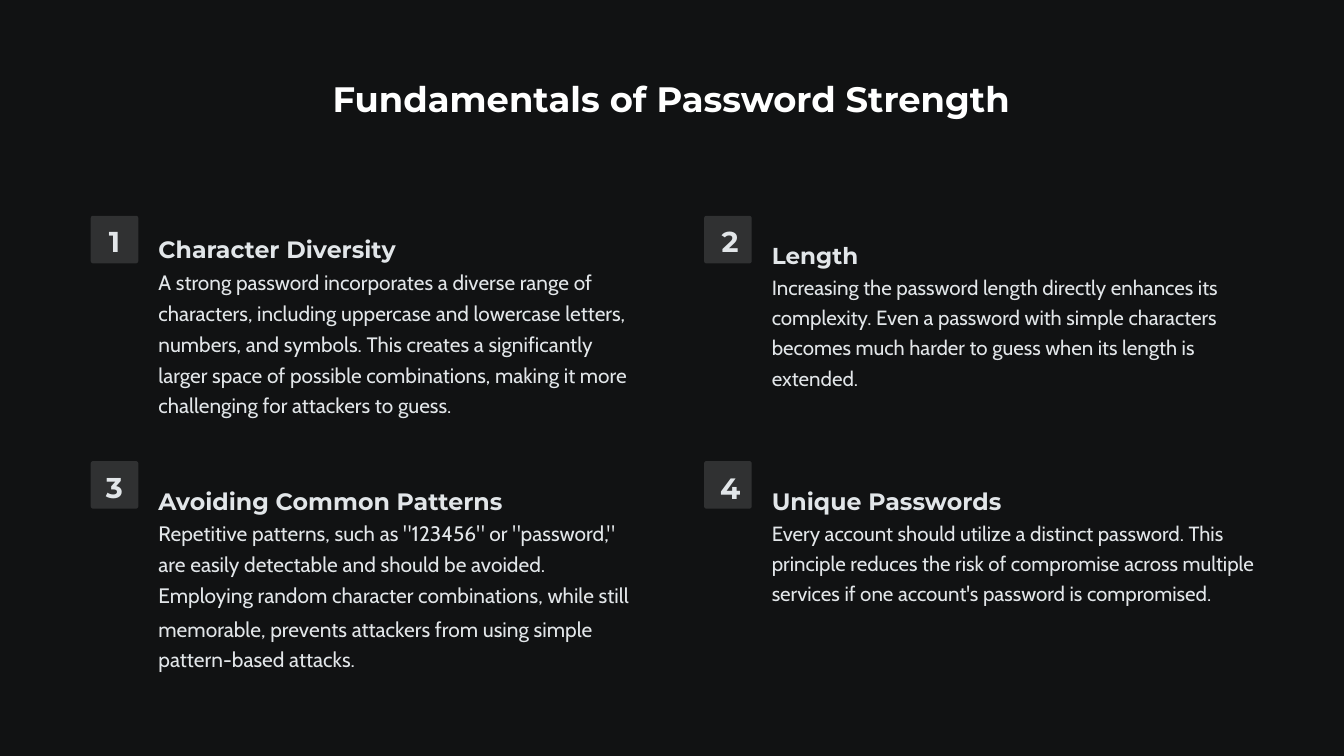
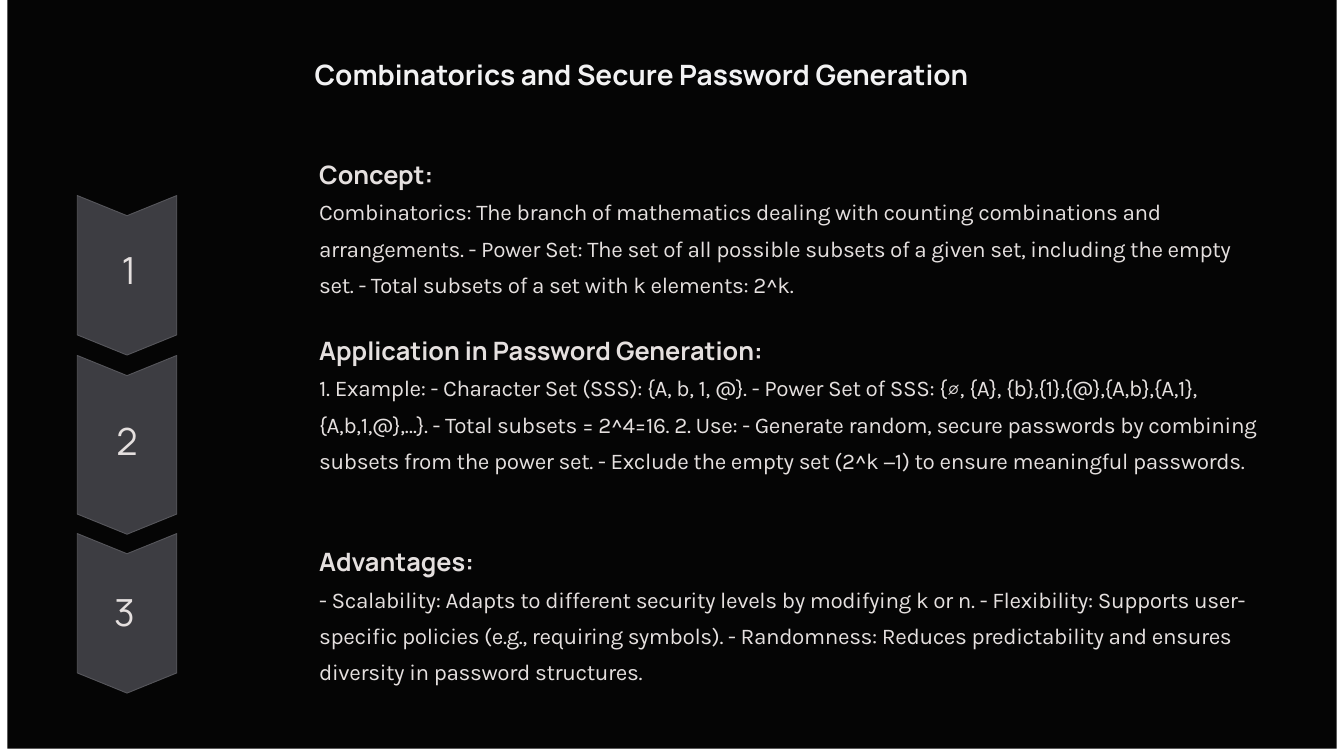
from dataclasses import dataclass, replace

from pptx import Presentation
from pptx.dml.color import RGBColor
from pptx.enum.shapes import MSO_SHAPE as Preset
from pptx.enum.text import MSO_AUTO_SIZE as AutoSize
from pptx.util import Pt


@dataclass(frozen=True)
class TextStyle:
    font: str
    size: float
    color: str
    leading: float = 1.4  # line height as a multiple of the size
    bold: bool = True
    tracking: float = 0


@dataclass(frozen=True)
class Theme:
    night: str = "111213"
    badge: str = "303132"
    page: str = "FFFFFF"
    panel: str = "050505"
    chevron: str = "3D3D42"
    chevron_edge: str = "56565B"

    basics_title: TextStyle = TextStyle("Montserrat", 37.8, "FFFFFF")
    basics_number: TextStyle = TextStyle("Montserrat", 30.8, "E2E6E9")
    basics_heading: TextStyle = TextStyle("Montserrat", 25.4, "E2E6E9")
    basics_body: TextStyle = TextStyle("Cabin", 22, "E2E6E9", 1.484, False)

    sets_title: TextStyle = TextStyle("Manrope", 30, "F2F2F3", 1.243)
    sets_number: TextStyle = TextStyle("Manrope", 40, "E5E0DF", bold=False)
    sets_heading: TextStyle = TextStyle("Manrope", 27.1, "E5E0DF")
    sets_body: TextStyle = TextStyle("Karla", 24.1, "E5E0DF", 1.61, False, -0.4)


THEME = Theme()
SLIDE_WIDTH, SLIDE_HEIGHT = 1440, 810

BADGE_SIZE = 51
BADGE_COLUMNS = (97.2, 754.4)
BADGE_ROWS = (231.2, 494)
BADGE_TO_TEXT = 72.5

# number width, number size, text top, text width, text height,
# heading, heading size, body size, [(body paragraph, leading)]
FUNDAMENTALS = [
    (12.2, 30.8, 247, 517, 204.5, "Character Diversity", 25.3, 22.3, [
        ("A strong password incorporates a diverse range of characters, including "
         "uppercase and lowercase letters, numbers, and symbols. This creates a "
         "significantly larger space of possible combinations, making it more "
         "challenging for attackers to guess.", 1.484)]),
    (13.7, 30.8, 253.4, 506, 160.5, "Length", 24.7, 22, [
        ("Increasing the password length directly enhances its complexity. Even a "
         "password with simple characters becomes much harder to guess when its "
         "length is extended.", 1.484)]),
    (18.7, 30.7, 516.2, 517, 199.5, "Avoiding Common Patterns", 25.4, 22.4, [
        ('Repetitive patterns, such as "123456" or "password," are easily detectable '
         "and should be avoided. Employing random character combinations, while still",
         1.484),
        ("memorable, prevents attackers from using simple", 1.616),
        ("pattern-based attacks.", 1.415)]),
    (16.6, 31.5, 516.2, 517, 162, "Unique Passwords", 25.4, 22, [
        ("Every account should utilize a distinct password. This principle reduces "
         "the risk of compromise across multiple services if one account's password "
         "is compromised.", 1.477)]),
]

CHEVRON_LEFT, CHEVRON_WIDTH, CHEVRON_NOTCH = 82.8, 106.6, 21.6
STEP_TEXT_LEFT, STEP_TEXT_WIDTH = 342, 1017.4

# chevron top and height, number left, top and width, text top and height, heading, body
STEPS = [
    (209.5, 170.9, 130.3, 257, 11.5, 164.9, 149, "Concept:",
     "Combinatorics: The branch of mathematics dealing with counting combinations and "
     "arrangements. - Power Set: The set of all possible subsets of a given set, "
     "including the empty set. - Total subsets of a set with k elements: 2^k."),
    (380.9, 191.5, 124.6, 439.9, 25.2, 353.5, 187.2, "Application in Password Generation:",
     "1. Example: - Character Set (SSS): {A, b, 1, @}. - Power Set of SSS: "
     "{∅, {A}, {b},{1},{@},{A,b},{A,1},{A,b,1,@},…}. - Total subsets = 2^4=16. "
     "2. Use: - Generate random, secure passwords by combining subsets from the power "
     "set. - Exclude the empty set (2^k −1) to ensure meaningful passwords."),
    (571.7, 170.9, 122.4, 622.8, 18.7, 579.6, 149, "Advantages:",
     "- Scalability: Adapts to different security levels by modifying k or n. "
     "- Flexibility: Supports user-specific policies (e.g., requiring symbols). "
     "- Randomness: Reduces predictability and ensures diversity in password structures."),
]


def add_slide(deck, background):
    slide = deck.slides.add_slide(deck.slide_layouts[6])
    slide.background.fill.solid()
    slide.background.fill.fore_color.rgb = RGBColor.from_string(background)
    return slide


def paint(shape, fill, edge=None):
    shape.shadow.inherit = False
    shape.fill.solid()
    shape.fill.fore_color.rgb = RGBColor.from_string(fill)
    if edge:
        shape.line.color.rgb = RGBColor.from_string(edge)
        shape.line.width = Pt(1)
    else:
        shape.line.fill.background()


def add_block(slide, preset, left, top, width, height, fill):
    block = slide.shapes.add_shape(preset, Pt(left), Pt(top), Pt(width), Pt(height))
    paint(block, fill)
    return block


def add_text(slide, left, top, width, height, *paragraphs):
    """Each paragraph is a (text, TextStyle) pair."""
    box = slide.shapes.add_textbox(Pt(left), Pt(top), Pt(width), Pt(height))
    frame = box.text_frame
    frame.word_wrap = True
    frame.auto_size = AutoSize.SHAPE_TO_FIT_TEXT
    frame.margin_left = frame.margin_right = frame.margin_top = frame.margin_bottom = 0
    for index, (text, style) in enumerate(paragraphs):
        paragraph = frame.add_paragraph() if index else frame.paragraphs[0]
        paragraph.text = text
        paragraph.line_spacing = Pt(round(style.size * style.leading, 1))
        for run in paragraph.runs:
            run.font.name = style.font
            run.font.size = Pt(style.size)
            run.font.bold = style.bold
            run.font.color.rgb = RGBColor.from_string(style.color)
            if style.tracking:
                run.font._element.set("spc", str(round(style.tracking * 100)))


def add_badge(slide, left, top, number, number_width, style):
    badge = add_block(slide, Preset.ROUNDED_RECTANGLE, left, top,
                      BADGE_SIZE, BADGE_SIZE, THEME.badge)
    badge.adjustments[0] = 0.05
    add_text(slide, left + (BADGE_SIZE - number_width) / 2, top + 2.9,
             number_width, 41, (str(number), style))


def add_down_chevron(slide, top, height):
    right = CHEVRON_LEFT + CHEVRON_WIDTH
    middle = CHEVRON_LEFT + CHEVRON_WIDTH / 2
    shoulder = top + height - CHEVRON_NOTCH
    outline = [(CHEVRON_LEFT, top), (middle, top + CHEVRON_NOTCH), (right, top),
               (right, shoulder), (middle, top + height), (CHEVRON_LEFT, shoulder)]
    start, *rest = [(Pt(x), Pt(y)) for x, y in outline]
    builder = slide.shapes.build_freeform(*start)
    builder.add_line_segments(rest, close=True)
    paint(builder.convert_to_shape(), THEME.chevron, THEME.chevron_edge)


def build_fundamentals(deck):
    slide = add_slide(deck, THEME.night)
    add_text(slide, 356.4, 75.6, 727.2, 51,
             ("Fundamentals of Password Strength", THEME.basics_title))
    for index, (number_width, number_size, top, width, height, heading, heading_size,
                body_size, body) in enumerate(FUNDAMENTALS):
        row, column = divmod(index, len(BADGE_COLUMNS))
        left = BADGE_COLUMNS[column]
        add_badge(slide, left, BADGE_ROWS[row], index + 1, number_width,
                  replace(THEME.basics_number, size=number_size))
        add_text(slide, left + BADGE_TO_TEXT, top, width, height,
                 (heading, replace(THEME.basics_heading, size=heading_size)),
                 *[(text, replace(THEME.basics_body, size=body_size, leading=leading))
                   for text, leading in body])


def build_combinatorics(deck):
    slide = add_slide(deck, THEME.page)
    add_block(slide, Preset.RECTANGLE, 7.9, -25.2, 1424.2, 827.3, THEME.panel)
    add_text(slide, 337, 60.5, 766, 38.2,
             ("Combinatorics and Secure Password Generation", THEME.sets_title))
    for number, (chevron_top, chevron_height, number_left, number_top, number_width,
                 top, height, heading, body) in enumerate(STEPS, start=1):
        add_down_chevron(slide, chevron_top, chevron_height)
        add_text(slide, number_left, number_top, number_width, 56.2,
                 (str(number), THEME.sets_number))
        add_text(slide, STEP_TEXT_LEFT, top, STEP_TEXT_WIDTH, height,
                 (heading, THEME.sets_heading), (body, THEME.sets_body))


def main():
    deck = Presentation()
    deck.slide_width, deck.slide_height = Pt(SLIDE_WIDTH), Pt(SLIDE_HEIGHT)
    build_fundamentals(deck)
    build_combinatorics(deck)
    deck.save("out.pptx")


if __name__ == "__main__":
    main()
